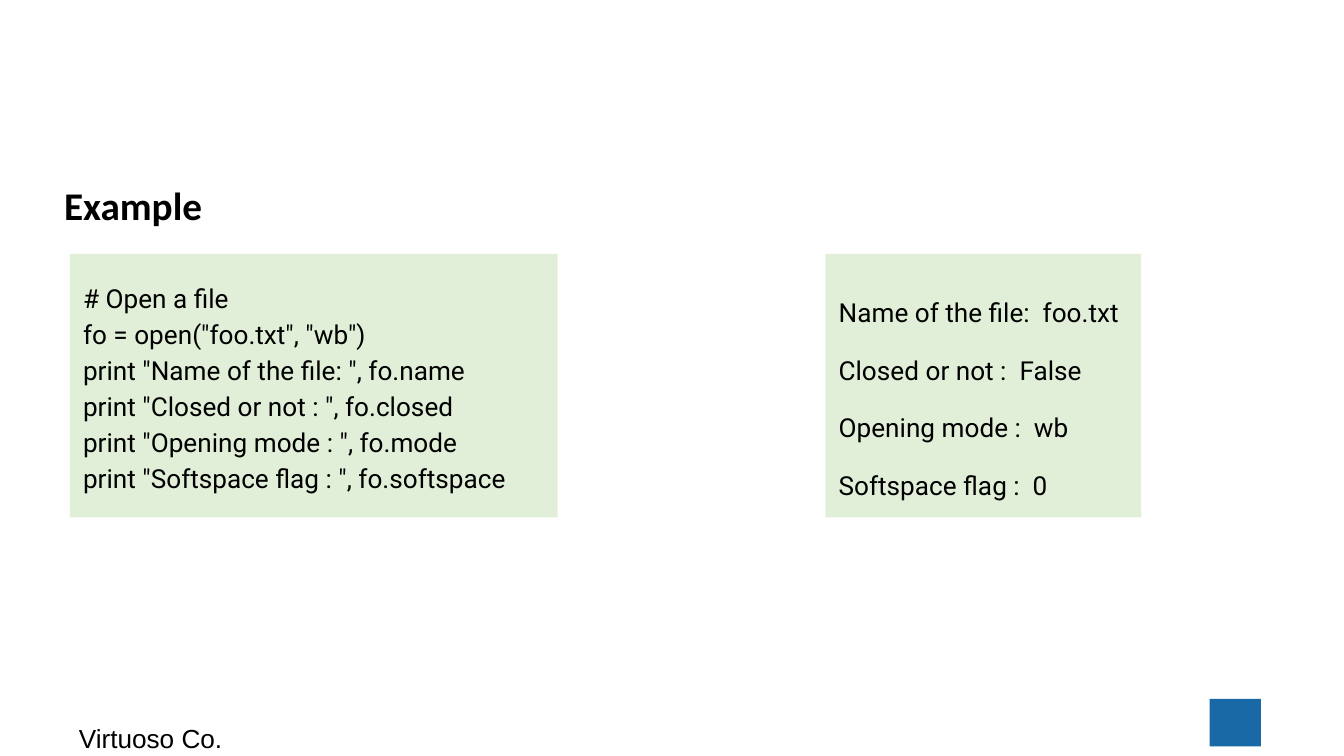
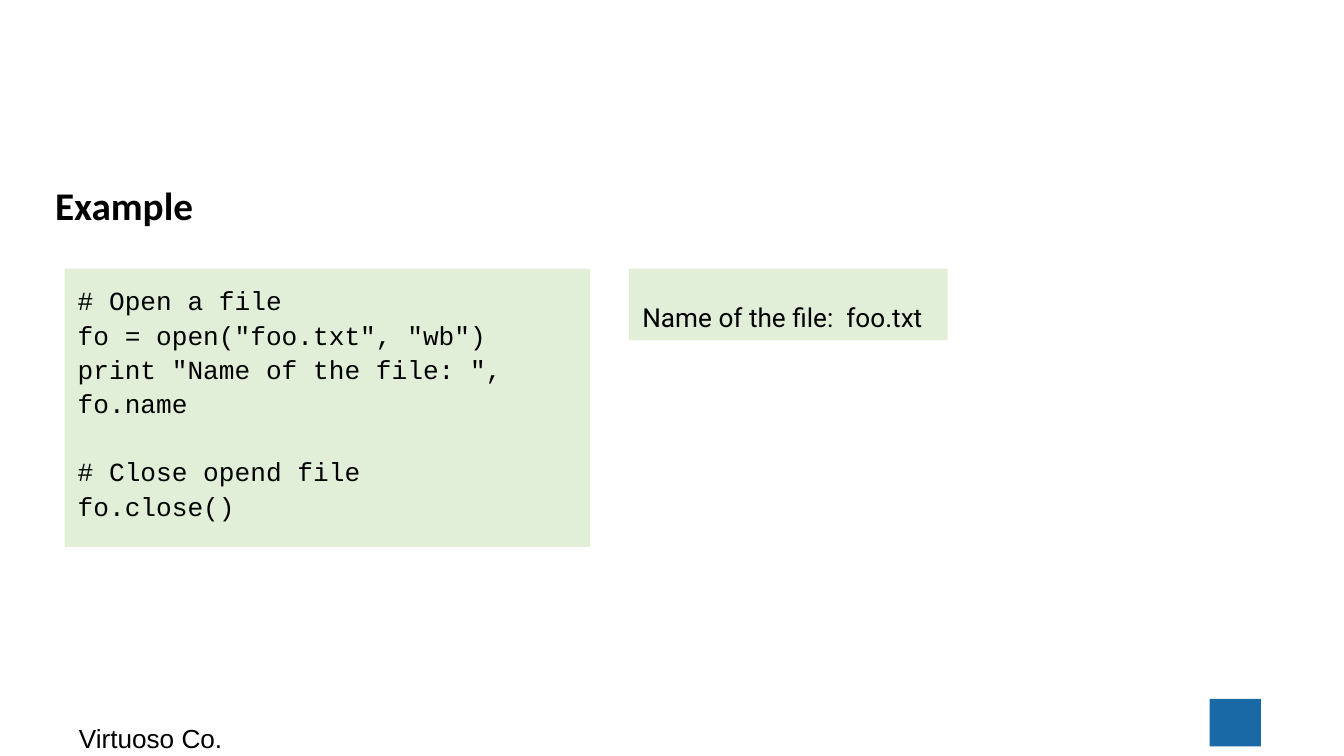
"""Build two slides of Python file examples with their printed output."""
from pptx import Presentation
from pptx.dml.color import RGBColor
from pptx.enum.shapes import MSO_SHAPE
from pptx.enum.text import MSO_ANCHOR, MSO_AUTO_SIZE, PP_ALIGN
from pptx.util import Cm, Pt

BLACK = RGBColor(0x00, 0x00, 0x00)
BLUE = RGBColor(0x18, 0x69, 0xA6)
GREEN = RGBColor(0xE1, 0xEF, 0xD8)
WHITE = RGBColor(0xFF, 0xFF, 0xFF)

OPEN = '# Open a file\nfo = open("foo.txt", "wb")\nprint "Name of the file: ", fo.name'
STATE = (
    '\nprint "Closed or not : ", fo.closed'
    '\nprint "Opening mode : ", fo.mode'
    '\nprint "Softspace flag : ", fo.softspace'
)
CLOSE = "# Close opend file\nfo.close()"
NAME = "Name of the file:  foo.txt"
FLAGS = "\nClosed or not :  False\nOpening mode :  wb\nSoftspace flag :  0"


class Deck:
    def __init__(self):
        self.deck = Presentation()
        self.deck.slide_width = Cm(25.4)
        self.deck.slide_height = Cm(14.29)
        self.slide = None

    def start(self, title, left):
        self.slide = self.deck.slides.add_slide(self.deck.slide_layouts[5])
        fill = self.slide.background.fill
        fill.solid()
        fill.fore_color.rgb = WHITE
        self.title(title, left)
        self.block((22.86, 13.21, 0.97, 0.9), BLUE)
        self.footer("Virtuoso Co.")

    def place(self, box):
        return [Cm(side) for side in box]

    def label(self, shape, parts, font, size=14, bold=False, line=1.0,
              gap=0, after=0, inset=(0.25, 0.25), anchor=MSO_ANCHOR.TOP):
        frame = shape.text_frame
        frame.word_wrap = True
        frame.auto_size = MSO_AUTO_SIZE.NONE
        frame.vertical_anchor = anchor
        frame.margin_left = frame.margin_right = Cm(inset[0])
        frame.margin_top = frame.margin_bottom = Cm(inset[1])
        for index, part in enumerate(parts):
            para = frame.add_paragraph() if index else frame.paragraphs[0]
            para.text = part
            para.alignment = PP_ALIGN.LEFT
            para.line_spacing = line
            para.space_before = Pt(gap if index else 0)
            para.space_after = Pt(after)
            for run in para.runs:
                run.font.name = font
                run.font.size = Pt(size)
                run.font.bold = bold
                run.font.color.rgb = BLACK

    def title(self, text, left):
        shape = self.slide.shapes.title
        shape.left, shape.top, shape.width, shape.height = self.place(
            (left, 3.43, 23.67, 1.2))
        self.label(shape, [text], "Calibri", 21, True, 0.9, inset=(0.18, 0.1))

    def footer(self, text):
        shape = self.slide.shapes.add_textbox(
            *self.place((1.24, 13.41, 3.73, 0.61)))
        self.label(shape, [text], "Arial")

    def block(self, box, color):
        shape = self.slide.shapes.add_shape(
            MSO_SHAPE.RECTANGLE, *self.place(box))
        shape.shadow.inherit = False
        shape.fill.solid()
        shape.fill.fore_color.rgb = color
        shape.line.fill.background()
        return shape

    def panel(self, box, parts, font="Roboto", line=1.83, gap=0, after=0,
              anchor=MSO_ANCHOR.MIDDLE):
        self.label(self.block(box, GREEN), parts, font, line=line, gap=gap,
                   after=after, anchor=anchor)


def main():
    show = Deck()

    show.start("Example", 1.03)
    top, high = 4.8, 4.98
    show.panel((1.32, top, 9.22, high), [OPEN + STATE], line=1.15, after=16)
    show.panel((15.6, top, 5.97, high), [NAME + FLAGS])

    show.start("Example", 0.86)
    top = 5.08
    show.panel((1.22, top, 9.93, 5.26), [OPEN, CLOSE], "Courier New",
               line=1.09, gap=18.4, anchor=MSO_ANCHOR.TOP)
    show.panel((11.89, top, 6.02, 1.35), [NAME])

    show.deck.save("out.pptx")


if __name__ == "__main__":
    main()
